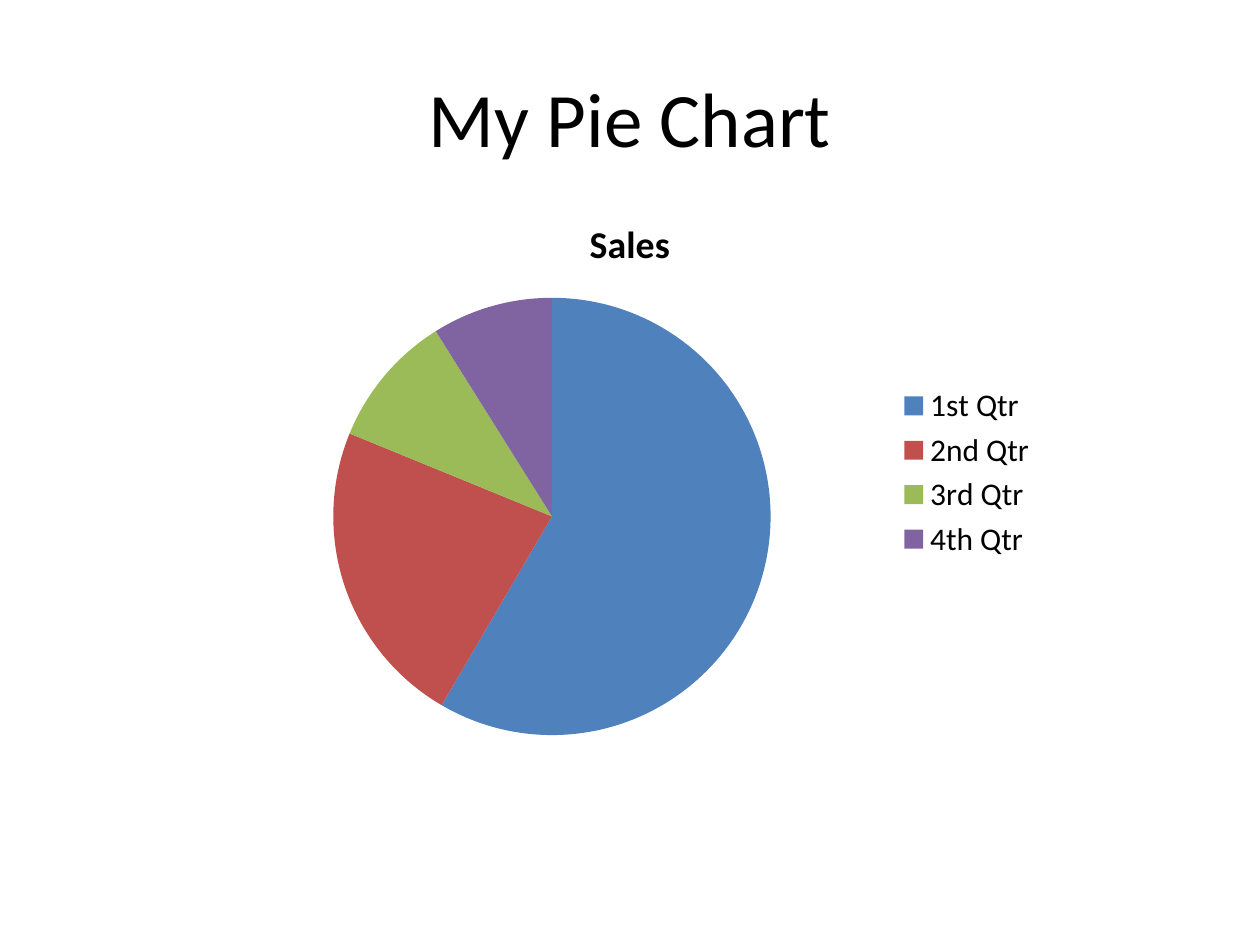
"""Build a slide with a titled quarterly sales pie chart."""
from dataclasses import dataclass

from pptx import Presentation
from pptx.chart.data import CategoryChartData
from pptx.dml.color import RGBColor
from pptx.enum.chart import XL_CHART_TYPE, XL_LEGEND_POSITION
from pptx.enum.text import MSO_ANCHOR, PP_ALIGN
from pptx.util import Pt


@dataclass(frozen=True)
class Theme:
    font: str = "Calibri"
    text: str = "000000"
    slices: tuple = ("4F81BD", "C0504D", "9BBB59", "8064A2")
    title_size: float = 44
    chart_title_size: float = 21.6
    chart_size: float = 18


class SlideBuilder:
    def __init__(self, s, theme):
        self.s = s
        self.theme = theme

    def style(self, font, size, bold=False):
        font.name = self.theme.font
        font.size = Pt(size)
        font.bold = bold
        font.color.rgb = RGBColor.from_string(self.theme.text)

    def title(self, text, left, top, width, height):
        sp = self.s.shapes.title
        sp.left, sp.top, sp.width, sp.height = map(Pt, (left, top, width, height))
        tf = sp.text_frame
        tf.text = text
        tf.vertical_anchor = MSO_ANCHOR.MIDDLE
        p = tf.paragraphs[0]
        p.alignment = PP_ALIGN.CENTER
        self.style(p.runs[0].font, self.theme.title_size)

    def pie(self, name, values, left, top, width, height):
        data = CategoryChartData()
        data.categories = list(values)
        data.add_series(name, list(values.values()))
        box = map(Pt, (left, top, width, height))
        chart = self.s.shapes.add_chart(XL_CHART_TYPE.PIE, *box, data).chart
        self.style(chart.font, self.theme.chart_size)
        chart.has_title = True
        tf = chart.chart_title.text_frame
        tf.text = name
        self.style(tf.paragraphs[0].runs[0].font, self.theme.chart_title_size, True)
        chart.chart_title.include_in_layout = False
        chart.has_legend = True
        chart.legend.position = XL_LEGEND_POSITION.RIGHT
        chart.legend.include_in_layout = False
        plot = chart.plots[0]
        plot.vary_by_categories = True
        for i, color in enumerate(self.theme.slices):
            fill = plot.series[0].points[i].format.fill
            fill.solid()
            fill.fore_color.rgb = RGBColor.from_string(color)


prs = Presentation()
prs.slide_width, prs.slide_height = Pt(720), Pt(540)
slide = SlideBuilder(prs.slides.add_slide(prs.slide_layouts[5]), Theme())
slide.title("My Pie Chart", 36, 21.6, 648, 90)
quarters = {"1st Qtr": 59, "2nd Qtr": 23, "3rd Qtr": 10, "4th Qtr": 9}
slide.pie("Sales", quarters, 120, 110, 480, 320)
prs.save("out.pptx")
